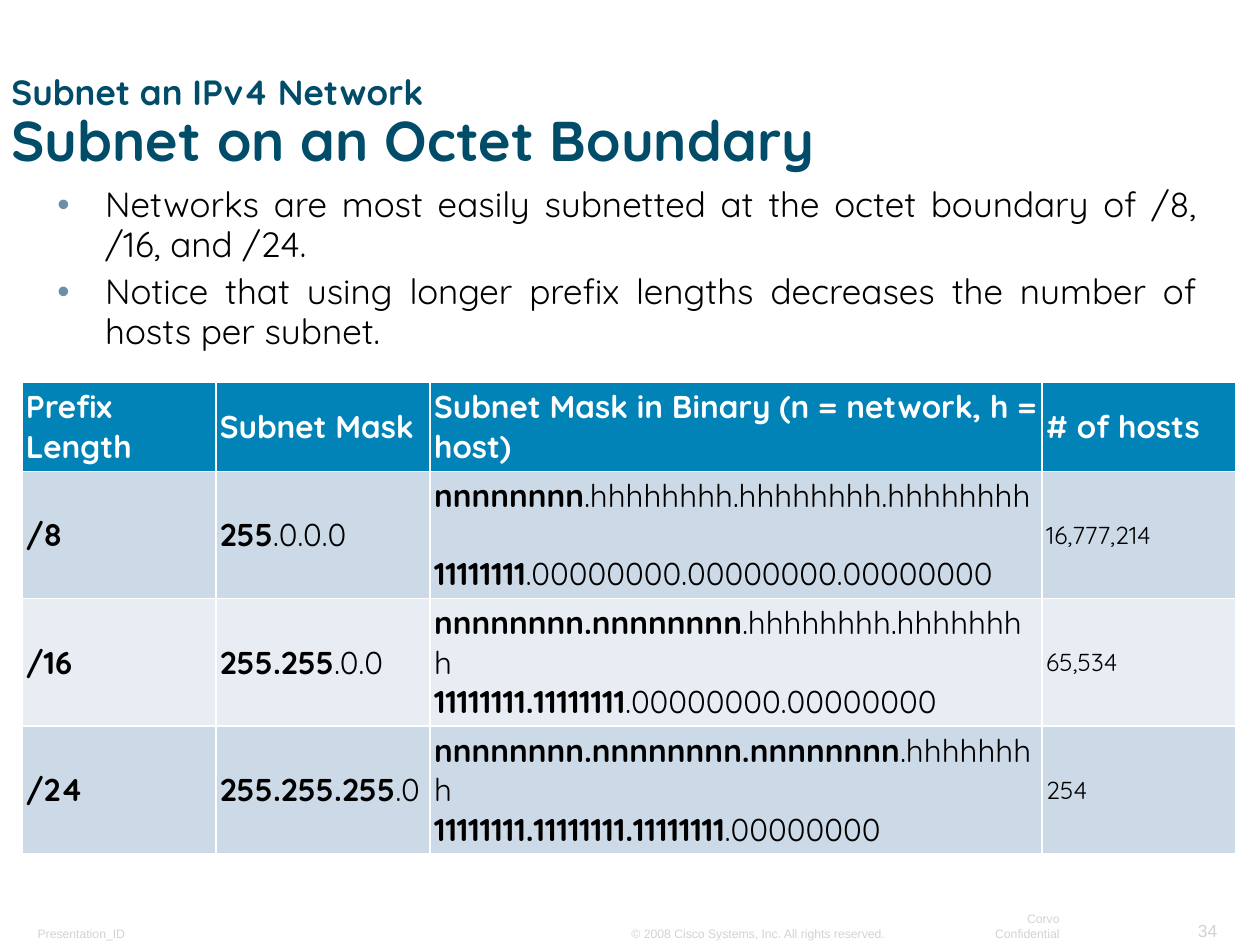
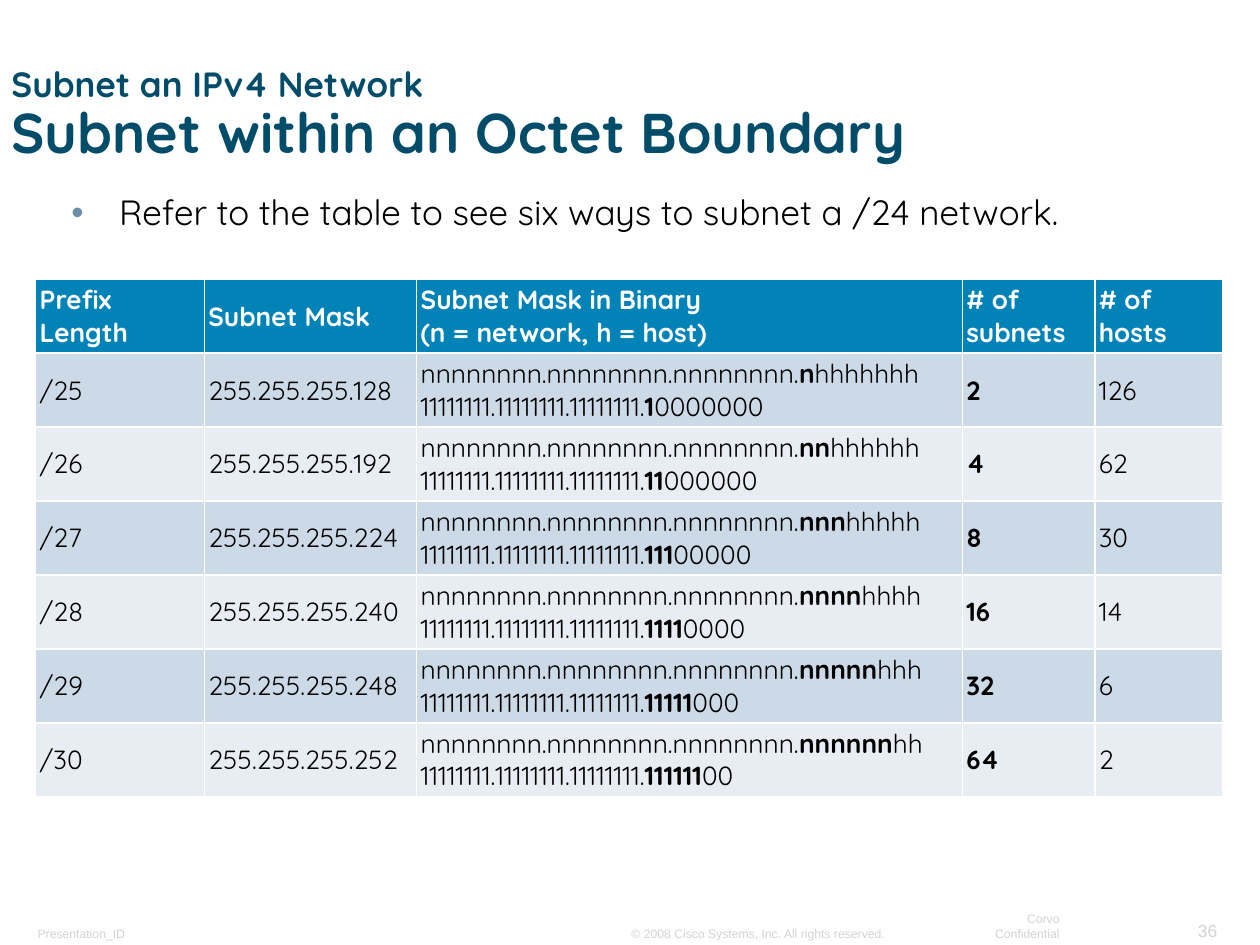
from dataclasses import dataclass
from lxml.etree import SubElement
from pptx import Presentation
from pptx.dml.color import RGBColor
from pptx.enum.text import MSO_ANCHOR, PP_ALIGN
from pptx.oxml.ns import qn
from pptx.util import Cm, Pt


@dataclass(frozen=True)
class Theme:
    heading_font: str = "Quicksand"
    footer_font: str = "Arial"
    title_color: str = "004C69"
    text_color: str = "000000"
    bullet_color: str = "6C8EA6"
    footer_color: str = "D3D3D3"
    header_fill: str = "0183B7"
    header_color: str = "FFFFFF"
    band_fills: tuple = ("CCD9E6", "E7EDF3")
    title_size: int = 32
    body_size: int = 20
    number_size: int = 10
    footer_size: int = 7


def apply_format(target, **values):
    for name, value in values.items():
        setattr(target, name, value)


class SlideBuilder:
    def __init__(self, presentation, theme):
        self.presentation = presentation
        self.theme = theme
        self.slide = None

    def new_slide(self):
        self.slide = self.presentation.slides.add_slide(self.presentation.slide_layouts[6])

    def add_text(self, paragraph, text, size, color, font=None, bold=False):
        for line_index, line in enumerate(text.split("\n")):
            if line_index:
                paragraph.add_line_break()
            for part_index, part in enumerate(line.split("*")):
                if part:
                    run = paragraph.add_run()
                    run.text = part
                    apply_format(run.font, name=font or self.theme.heading_font, size=Pt(size),
                                 bold=bold or part_index % 2 == 1)
                    run.font.color.rgb = RGBColor.from_string(color)

    def text_frame(self, left, top, width, height, anchor, wrap=True, margins=(0.23, 0.1)):
        shape = self.slide.shapes.add_textbox(Cm(left), Cm(top), Cm(width), Cm(height))
        across, down = (Cm(margin) for margin in margins)
        apply_format(shape.text_frame, word_wrap=wrap, vertical_anchor=anchor, margin_left=across,
                     margin_right=across, margin_top=down, margin_bottom=down)
        return shape.text_frame

    def title(self, topic, heading, top):
        theme = self.theme
        paragraph = self.text_frame(0, top, 23.2, 2.03, MSO_ANCHOR.BOTTOM).paragraphs[0]
        paragraph.line_spacing = 0.9
        self.add_text(paragraph, topic, theme.body_size, theme.title_color, bold=True)
        paragraph.add_line_break()
        self.add_text(paragraph, heading, theme.title_size, theme.title_color, bold=True)

    def bullets(self, items, left, top, width, height, alignment=PP_ALIGN.LEFT):
        theme = self.theme
        frame = self.text_frame(left, top, width, height, MSO_ANCHOR.TOP, margins=(0.25, 0.13))
        for index, item in enumerate(items):
            paragraph = frame.add_paragraph() if index else frame.paragraphs[0]
            properties = paragraph._p.get_or_add_pPr()
            properties.set("marL", str(Cm(0.96)))
            properties.set("indent", str(-Cm(0.96)))
            color = SubElement(properties, qn("a:buClr"))
            SubElement(color, qn("a:srgbClr"), val=theme.bullet_color)
            SubElement(properties, qn("a:buFont"), typeface=theme.footer_font)
            SubElement(properties, qn("a:buChar"), char="•")
            apply_format(paragraph, alignment=alignment, line_spacing=0.95)
            if index:
                paragraph.space_before = Pt(4)
            self.add_text(paragraph, item, theme.body_size, theme.text_color)

    def table(self, rows, left, top, column_widths, row_heights, size, column_sizes):
        theme = self.theme
        table = self.slide.shapes.add_table(
            len(rows), len(column_widths), Cm(left), Cm(top),
            Cm(sum(column_widths)), Cm(sum(row_heights))).table
        table.horz_banding = False
        for column, width in zip(table.columns, column_widths):
            column.width = Cm(width)
        for row_index, (row, height) in enumerate(zip(rows, row_heights)):
            table.rows[row_index].height = Cm(height)
            is_header = row_index == 0
            fill = theme.header_fill if is_header else theme.band_fills[(row_index - 1) % 2]
            color = theme.header_color if is_header else theme.text_color
            for column_index, text in enumerate(row):
                cell = table.cell(row_index, column_index)
                margin = Cm(0.08)
                apply_format(cell, vertical_anchor=MSO_ANCHOR.MIDDLE, margin_left=margin,
                             margin_right=margin, margin_top=margin, margin_bottom=margin)
                cell.fill.solid()
                cell.fill.fore_color.rgb = RGBColor.from_string(fill)
                cell_size = size if is_header else column_sizes.get(column_index, size)
                self.add_text(cell.text_frame.paragraphs[0], text, cell_size, color, bold=is_header)

    def footer(self, number):
        theme = self.theme
        small = theme.footer_size
        entries = (
            ("Presentation_ID", 0.53, 18.54, 2.67, 0.53, small, PP_ALIGN.LEFT, True),
            (str(number), 23.88, 18.42, 0.89, 0.66, theme.number_size, PP_ALIGN.RIGHT, False),
            ("© 2008 Cisco Systems, Inc. All rights reserved.",
             12.5, 18.54, 5.61, 0.53, small, PP_ALIGN.LEFT, False),
            ("Corvo Confidential", 19.15, 18.54, 2.44, 0.53, small, PP_ALIGN.RIGHT, False),
        )
        for text, left, top, width, height, size, alignment, wrap in entries:
            frame = self.text_frame(left, top, width, height, MSO_ANCHOR.BOTTOM, wrap)
            paragraph = frame.paragraphs[0]
            paragraph.alignment = alignment
            self.add_text(paragraph, text, size, theme.footer_color, theme.footer_font)


def octet_row(octets, hosts):
    def split_octets(network, host):
        return f"*{'.'.join([network] * octets)}*{('.' + host) * (4 - octets)}"

    binary = f"{split_octets('n' * 8, 'h' * 8)} \n{split_octets('1' * 8, '0' * 8)}"
    return f"*/{octets * 8}*", split_octets("255", "0"), binary, hosts


def borrowed_bits_row(bits):
    def last_octet(network, host):
        return f"{(network * 8 + '.') * 3}*{network * bits}*{host * (8 - bits)}"

    host_bits = 8 - bits
    mask = f"255.255.255.{256 - 2 ** host_bits}"
    binary = f"{last_octet('n', 'h')}\n{last_octet('1', '0')}"
    return f"/{24 + bits}", mask, binary, f"*{2 ** bits}*", str(2 ** host_bits - 2)


def main():
    presentation = Presentation()
    apply_format(presentation, slide_width=Cm(25.4), slide_height=Cm(19.05))
    builder = SlideBuilder(presentation, Theme())
    topic = "Subnet an IPv4 Network"

    builder.new_slide()
    builder.footer(34)
    builder.title(topic, "Subnet on an Octet Boundary", 1.57)
    builder.bullets([
        "Networks are most easily subnetted at the octet boundary of /8, /16, and /24.",
        "Notice that using longer prefix lengths decreases the number of hosts per subnet.",
    ], 0.91, 3.61, 23.47, 3.1, PP_ALIGN.JUSTIFY)
    header = ("Prefix Length", "Subnet Mask",
              "Subnet Mask in Binary (n = network, h = host)", "# of hosts")
    hosts = ("16,777,214", "65,534", "254")
    rows = [header] + [octet_row(octets, count) for octets, count in enumerate(hosts, 1)]
    builder.table(rows, 0.44, 7.7, (3.91, 4.32, 12.34, 3.91), [1.8] + [2.57] * 3, 18, {3: 14})

    builder.new_slide()
    builder.footer(36)
    builder.title(topic, "Subnet within an Octet Boundary", 1.4)
    builder.bullets(["Refer to the table to see six ways to subnet a /24 network."],
                    1.19, 3.78, 23.01, 1.3)
    header = ("Prefix Length", "Subnet Mask", "Subnet Mask in Binary\n(n = network, h = host)",
              "# of subnets", "# of hosts")
    rows = [header] + [borrowed_bits_row(bits) for bits in range(1, 7)]
    builder.table(rows, 0.72, 5.63, (3.4, 4.28, 11, 2.67, 2.57), [1.49] * 7, 15, {})

    presentation.save("out.pptx")


if __name__ == "__main__":
    main()
